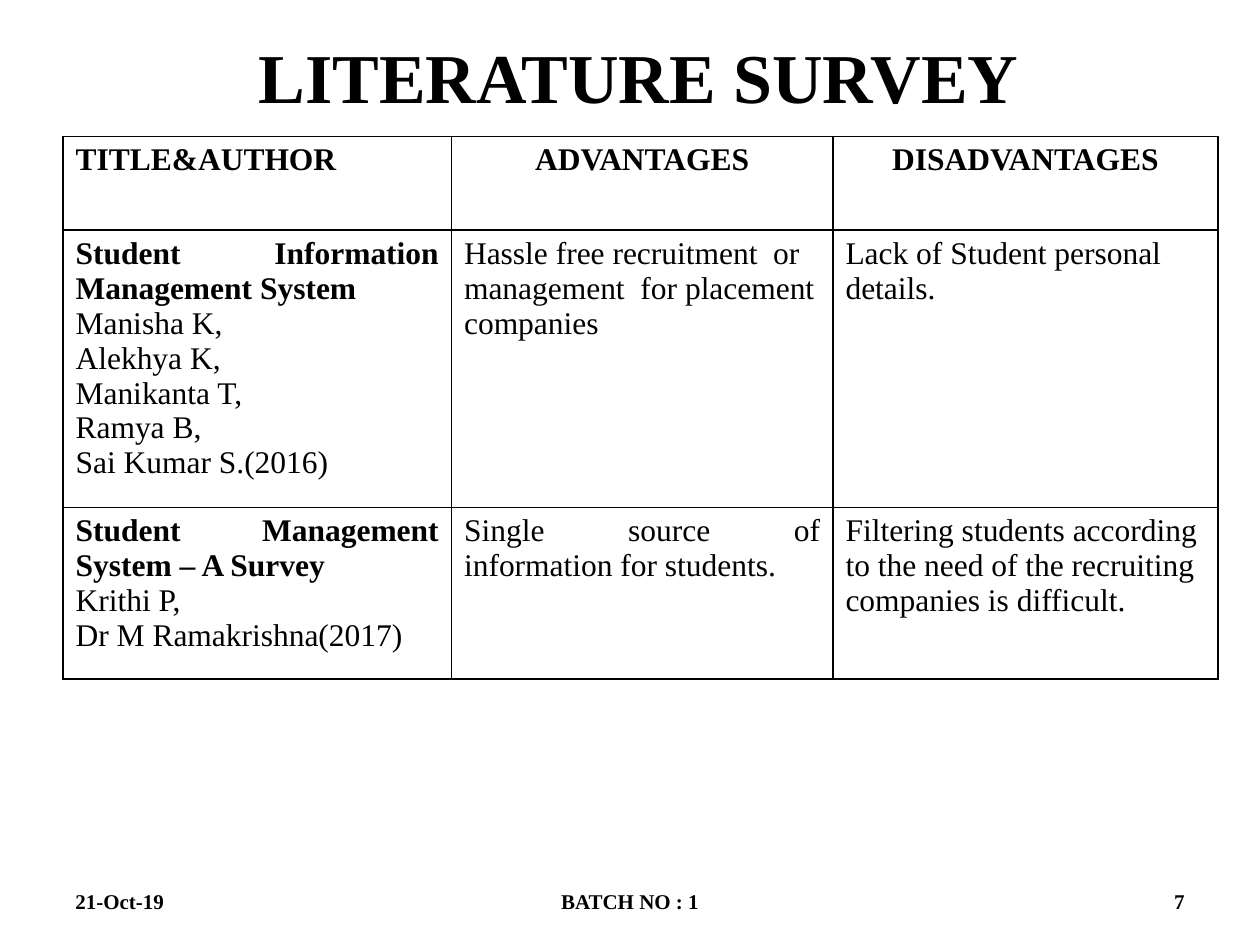
from dataclasses import dataclass

from lxml.etree import SubElement
from pptx import Presentation
from pptx.dml.color import RGBColor
from pptx.enum.text import MSO_ANCHOR, PP_ALIGN
from pptx.oxml.ns import qn
from pptx.util import Pt


@dataclass(frozen=True)
class Theme:
    """Colours, font and type sizes of the slide."""

    ink: str = "000000"
    font: str = "Times New Roman"
    title_size: int = 40
    table_size: int = 18
    footer_size: int = 12
    border: int = 1


THEME = Theme()
LEFT, CENTER, RIGHT, JUSTIFY = PP_ALIGN.LEFT, PP_ALIGN.CENTER, PP_ALIGN.RIGHT, PP_ALIGN.JUSTIFY
COLUMN_WIDTHS = (222, 218, 220)
ROW_HEIGHTS = (53.5, 154.5, 98)
HEADERS = (("TITLE&AUTHOR", LEFT), ("ADVANTAGES", CENTER), ("DISADVANTAGES", CENTER))
SURVEYS = (
    (
        ("Student Information Management System",
         "Manisha K,", "Alekhya K,", "Manikanta T,", "Ramya B,", "Sai Kumar S.(2016)"),
        ("Hassle free recruitment  or management  for placement companies", LEFT),
        ("Lack of Student personal details.", LEFT),
    ),
    (
        ("Student Management System – A Survey", "Krithi P,", "Dr M Ramakrishna(2017)"),
        ("Single source of information for students.", JUSTIFY),
        ("Filtering students according to the need of the recruiting companies is difficult.", LEFT),
    ),
)
FOOTERS = (
    ("21-Oct-19", 36, 168, LEFT),
    ("BATCH NO : 1", 246, 228, CENTER),
    ("7", 516, 168, RIGHT),
)


def write(paragraph, text, *, size, bold=False, align=LEFT):
    """Put formatted text into a paragraph."""
    paragraph.alignment = align
    run = paragraph.add_run()
    run.text = text
    run.font.name = THEME.font
    run.font.size = Pt(size)
    run.font.bold = bold
    run.font.color.rgb = RGBColor.from_string(THEME.ink)


def place_title(slide, text):
    """Move the title placeholder and fill it."""
    title = slide.shapes.title
    title.left, title.top, title.width, title.height = Pt(36), Pt(0), Pt(648), Pt(86)
    title.text_frame.vertical_anchor = MSO_ANCHOR.MIDDLE
    write(title.text_frame.paragraphs[0], text, size=THEME.title_size, bold=True, align=CENTER)


def add_footer(slide, text, left, width, align):
    """Add one footer text box."""
    frame = slide.shapes.add_textbox(Pt(left), Pt(500.5), Pt(width), Pt(28.5)).text_frame
    frame.word_wrap = True
    frame.vertical_anchor = MSO_ANCHOR.MIDDLE
    write(frame.paragraphs[0], text, size=THEME.footer_size, bold=True, align=align)


def style_cell(cell):
    """Draw all four borders of a cell and clear its fill."""
    properties = cell._tc.get_or_add_tcPr()
    for side in ("a:lnL", "a:lnR", "a:lnT", "a:lnB"):
        line = SubElement(properties, qn(side), w=str(Pt(THEME.border)))
        fill = SubElement(line, qn("a:solidFill"))
        SubElement(fill, qn("a:srgbClr"), val=THEME.ink)
    cell.fill.background()


def write_cell(cell, text, align, bold=False):
    """Fill a cell with a single paragraph."""
    write(cell.text_frame.paragraphs[0], text, size=THEME.table_size, bold=bold, align=align)


def write_paper(cell, title, *authors):
    """Fill a cell with a bold paper title and its authors below."""
    write_cell(cell, title, JUSTIFY, bold=True)
    for author in authors:
        write(cell.text_frame.add_paragraph(), author, size=THEME.table_size, align=JUSTIFY)


def add_survey_table(slide):
    """Add the table of surveyed papers."""
    table = slide.shapes.add_table(
        len(ROW_HEIGHTS), len(COLUMN_WIDTHS),
        Pt(36), Pt(78), Pt(sum(COLUMN_WIDTHS)), Pt(sum(ROW_HEIGHTS)),
    ).table
    table.first_row = table.horz_banding = False
    for column, width in zip(table.columns, COLUMN_WIDTHS):
        column.width = Pt(width)
    for row, height in zip(table.rows, ROW_HEIGHTS):
        row.height = Pt(height)
    for cell in table.iter_cells():
        style_cell(cell)
    for column, (text, align) in enumerate(HEADERS):
        write_cell(table.cell(0, column), text, align, bold=True)
    for row, (paper, *remarks) in enumerate(SURVEYS, start=1):
        write_paper(table.cell(row, 0), *paper)
        for column, (text, align) in enumerate(remarks, start=1):
            write_cell(table.cell(row, column), text, align)


def main():
    """Build and save the slide."""
    presentation = Presentation()
    presentation.slide_width, presentation.slide_height = Pt(720), Pt(540)
    slide = presentation.slides.add_slide(presentation.slide_layouts[5])
    for footer in FOOTERS:
        add_footer(slide, *footer)
    place_title(slide, " LITERATURE SURVEY")
    add_survey_table(slide)
    presentation.save("out.pptx")


if __name__ == "__main__":
    main()
